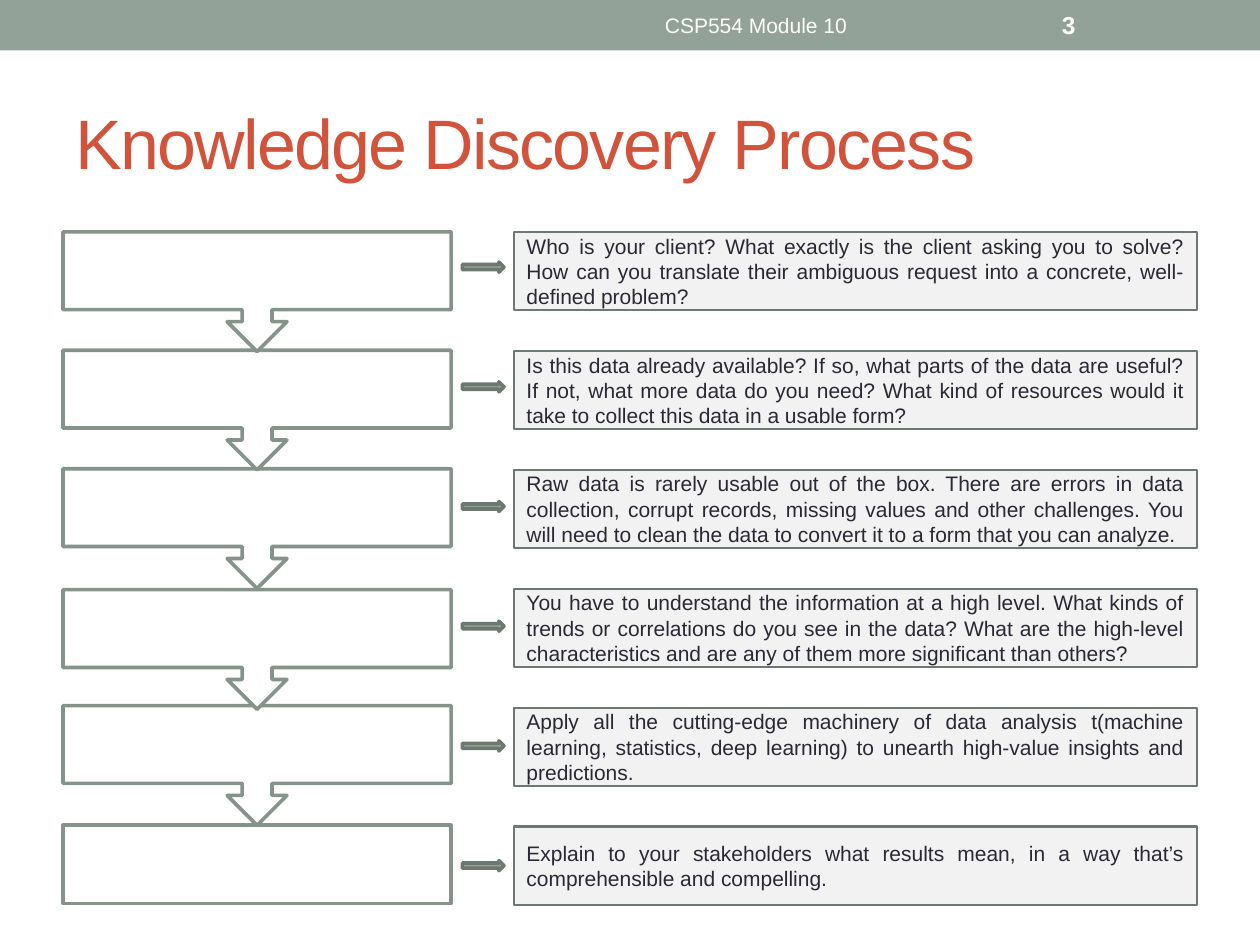
"""Build the Knowledge Discovery Process slide."""
from pptx import Presentation
from pptx import util as u
from pptx.dml import color
from pptx.enum import shapes, text

STEP_TOPS = [1.84, 2.78, 3.72, 4.68, 5.6, 6.55]
NOTES = [
    "Who is your client? What exactly is the client asking you to solve? How can you "
    "translate their ambiguous request into a concrete, well-defined problem?",
    "Is this data already available? If so, what parts of the data are useful? If not, what "
    "more data do you need? What kind of resources would it take to collect this data in a "
    "usable form?",
    "Raw data is rarely usable out of the box. There are errors in data collection, corrupt "
    "records, missing values and other challenges. You will need to clean the data to convert "
    "it to a form that you can analyze.",
    "You have to understand the information at a high level. What kinds of trends or "
    "correlations do you see in the data? What are the high-level characteristics and are any "
    "of them more significant than others?",
    "Apply all the cutting-edge machinery of data analysis t(machine learning, statistics, "
    "deep learning) to unearth high-value insights and predictions.",
    "Explain to your stakeholders what results mean, in a way that’s comprehensible and "
    "compelling.",
]


def rgb(value):
    return color.RGBColor.from_string(value)


class ProcessSlide:
    font = "Arial"
    sage, sage_line, dark_line = "93A299", "85938B", "6D7871"
    white, pale, ink, red = "FFFFFF", "F2F2F2", "292934", "D2533C"

    def __init__(self, page):
        self.page = page

    def fill_text(self, box, words, size, ink, align, bold=False):
        frame = box.text_frame
        frame.word_wrap = True
        frame.vertical_anchor = text.MSO_ANCHOR.MIDDLE
        para = frame.paragraphs[0]
        para.alignment = align
        span = para.add_run()
        span.text = words
        values = {"name": self.font, "size": u.Pt(size), "bold": bold}
        for name, value in values.items():
            setattr(span.font, name, value)
        span.font.color.rgb = rgb(ink)
        return span

    def title(self, words, left, top, width, height):
        box = self.page.shapes.title
        place = {"left": left, "top": top, "width": width, "height": height}
        for name, value in place.items():
            setattr(box, name, u.Inches(value))
        span = self.fill_text(box, words, 40, self.red, text.PP_ALIGN.LEFT)
        span._r.get_or_add_rPr().set("spc", "-100")

    def label(self, words, place, size, align, bold=False):
        box = self.page.shapes.add_textbox(*map(u.Inches, place))
        self.fill_text(box, words, size, self.white, align, bold)

    def shape(self, kind, place, fill, line=None, weight=0):
        box = self.page.shapes.add_shape(kind, *map(u.Inches, place))
        box.shadow.inherit = False
        box.fill.solid()
        box.fill.fore_color.rgb = rgb(fill)
        if line:
            box.line.color.rgb = rgb(line)
            box.line.width = u.Pt(weight)
        else:
            box.line.fill.background()
        return box

    def step(self, top, last):
        kind = shapes.MSO_SHAPE.RECTANGLE if last else shapes.MSO_SHAPE.UP_ARROW_CALLOUT
        place = (0.5, top, 3.08, 0.62 if last else 0.95)
        box = self.shape(kind, place, self.white, self.sage_line, 2.08)
        box.rotation = 0 if last else 180

    def note(self, words, top):
        place = (4.08, top, 5.42, 0.62)
        box = self.shape(shapes.MSO_SHAPE.RECTANGLE, place, self.pale, self.dark_line, 1.25)
        self.fill_text(box, words, 12, self.ink, text.PP_ALIGN.JUSTIFY)

    def arrow(self, top):
        place = (3.67, top, 0.33, 0.08)
        self.shape(shapes.MSO_SHAPE.RIGHT_ARROW, place, self.sage, self.dark_line, 2.08)


def main():
    deck = Presentation()
    deck.slide_width, deck.slide_height = u.Inches(10), u.Inches(7.5)
    slide = ProcessSlide(deck.slides.add_slide(deck.slide_layouts[5]))
    slide.shape(shapes.MSO_SHAPE.RECTANGLE, (0, 0, 10, 0.4), slide.sage)
    slide.title("Knowledge Discovery Process", 0.5, 0.58, 9, 1.08)
    slide.label("CSP554 Module 10", (3.75, 0.02, 4.5, 0.36), 12, text.PP_ALIGN.CENTER)
    slide.label("3", (8.33, 0.02, 1.17, 0.36), 14, text.PP_ALIGN.LEFT, bold=True)
    for top in reversed(STEP_TOPS):
        slide.step(top, last=top == STEP_TOPS[-1])
    note_gap = (6.56 - 1.84) / (len(NOTES) - 1)
    for row, words in enumerate(NOTES):
        slide.note(words, 1.84 + note_gap * row)
        slide.arrow(2.08 + 0.95 * row)
    deck.save("out.pptx")


if __name__ == "__main__":
    main()
